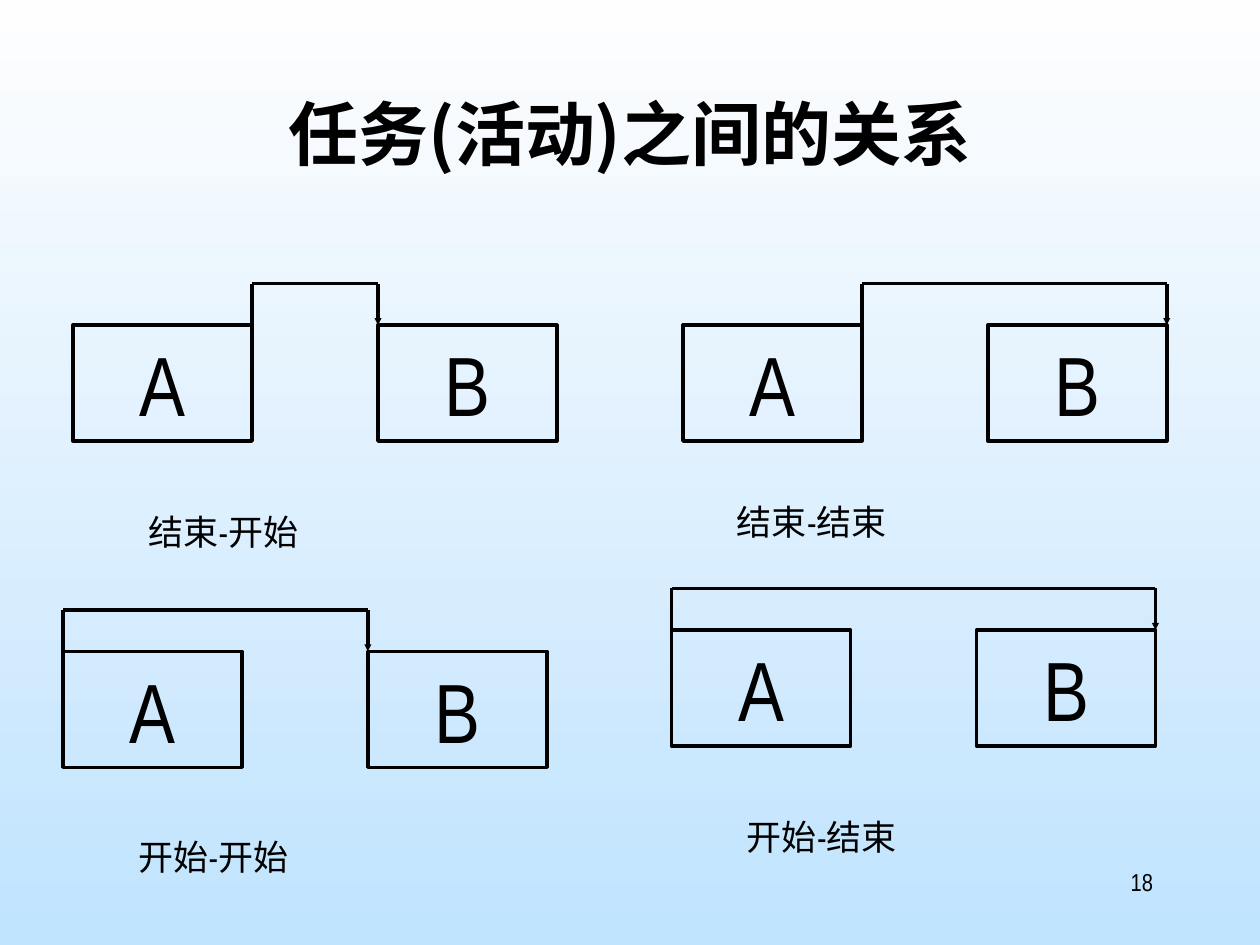
"""Build a slide showing the four dependency types between tasks."""
from dataclasses import dataclass

from lxml.etree import SubElement
from pptx import Presentation
from pptx.dml.color import RGBColor
from pptx.enum.shapes import MSO_CONNECTOR as Connector, MSO_SHAPE as Shape
from pptx.enum.text import MSO_ANCHOR as Anchor, PP_ALIGN as Align
from pptx.oxml.ns import qn
from pptx.util import Inches, Pt


@dataclass(frozen=True)
class Theme:
    ink: RGBColor = RGBColor(0, 0, 0)
    sky_top: RGBColor = RGBColor(0xFE, 0xFE, 0xFE)
    sky_bottom: RGBColor = RGBColor(0xC0, 0xE3, 0xFE)
    title_font: str = "Noto Sans CJK SC"
    body_font: str = "Arial Narrow"
    title_size: int = 40
    task_size: int = 48
    caption_size: int = 20
    number_size: int = 14
    line_width: int = 2


THEME = Theme()
TASK_WIDTH, TASK_HEIGHT = 1.42, 0.92
TASK_STEP = 2.42
LINK_RISE = 0.33


def paint_background(slide):
    fill = slide.background.fill
    fill.gradient()
    fill.gradient_angle = 270
    for stop, color in zip(fill.gradient_stops, (THEME.sky_top, THEME.sky_bottom)):
        stop.color.rgb = color


def add_run(paragraph, text, size, font=THEME.body_font, bold=False):
    run = paragraph.add_run()
    run.text = text
    run.font.size = Pt(size)
    run.font.name = font
    run.font.bold = bold
    run.font.color.rgb = THEME.ink
    east_asian = SubElement(run.font._element, qn("a:ea"))
    east_asian.set("typeface", THEME.title_font)


def add_text(slide, text, left, top, width, height, size, align=Align.LEFT, **style):
    box = slide.shapes.add_textbox(Inches(left), Inches(top), Inches(width), Inches(height))
    box.text_frame.word_wrap = True
    paragraph = box.text_frame.paragraphs[0]
    paragraph.alignment = align
    add_run(paragraph, text, size, **style)


def add_task(slide, name, left, top):
    shape = slide.shapes.add_shape(
        Shape.RECTANGLE, Inches(left), Inches(top), Inches(TASK_WIDTH), Inches(TASK_HEIGHT))
    shape.shadow.inherit = False
    shape.fill.background()
    shape.line.color.rgb = THEME.ink
    shape.line.width = Pt(THEME.line_width)
    frame = shape.text_frame
    frame.word_wrap = False
    frame.vertical_anchor = Anchor.MIDDLE
    paragraph = frame.paragraphs[0]
    paragraph.alignment = Align.CENTER
    add_run(paragraph, name, THEME.task_size)


def add_line(slide, start, end, arrow=False):
    line = slide.shapes.add_connector(Connector.STRAIGHT, *map(Inches, start + end))
    line.line.color.rgb = THEME.ink
    line.line.width = Pt(THEME.line_width)
    if arrow:
        SubElement(line.line._get_or_add_ln(), qn("a:headEnd"), type="triangle", w="sm", len="sm")
    SubElement(line._element.spPr, qn("a:effectLst"))


def add_link(slide, start, end, top):
    """Draw a bracket from one task corner up, across and down to another."""
    bar = top - LINK_RISE
    add_line(slide, (start, top), (start, bar))
    add_line(slide, (end, top), (end, bar), arrow=True)
    add_line(slide, (start, bar), (end, bar))


def add_relation(slide, left, top, caption, caption_left, caption_top):
    """Draw tasks A and B, linked at the ends that the caption names."""
    task_lefts = (left, left + TASK_STEP)
    for name, task_left in zip("AB", task_lefts):
        add_task(slide, name, task_left, top)
    start, end = (
        task_left + (TASK_WIDTH if side == "结束" else 0)
        for task_left, side in zip(task_lefts, caption.split("-")))
    add_link(slide, start, end, top)
    add_text(slide, caption, caption_left, caption_top, 2.92, 0.44, THEME.caption_size)


def main():
    presentation = Presentation()
    presentation.slide_width, presentation.slide_height = Inches(10), Inches(7.5)
    slide = presentation.slides.add_slide(presentation.slide_layouts[6])
    paint_background(slide)
    add_text(slide, "任务(活动)之间的关系", 0.75, 0.67, 8.5, 1.25, THEME.title_size,
             Align.CENTER, font=THEME.title_font, bold=True)
    relations = (
        (0.58, 2.58, "结束-开始", 1.08, 4),
        (5.42, 2.58, "结束-结束", 5.75, 3.92),
        (0.5, 5.17, "开始-开始", 1, 6.58),
        (5.33, 5, "开始-结束", 5.83, 6.42),
    )
    for relation in relations:
        add_relation(slide, *relation)
    add_text(slide, "18", 7.17, 6.83, 2.08, 0.5, THEME.number_size, Align.RIGHT)
    presentation.save("out.pptx")


if __name__ == "__main__":
    main()
